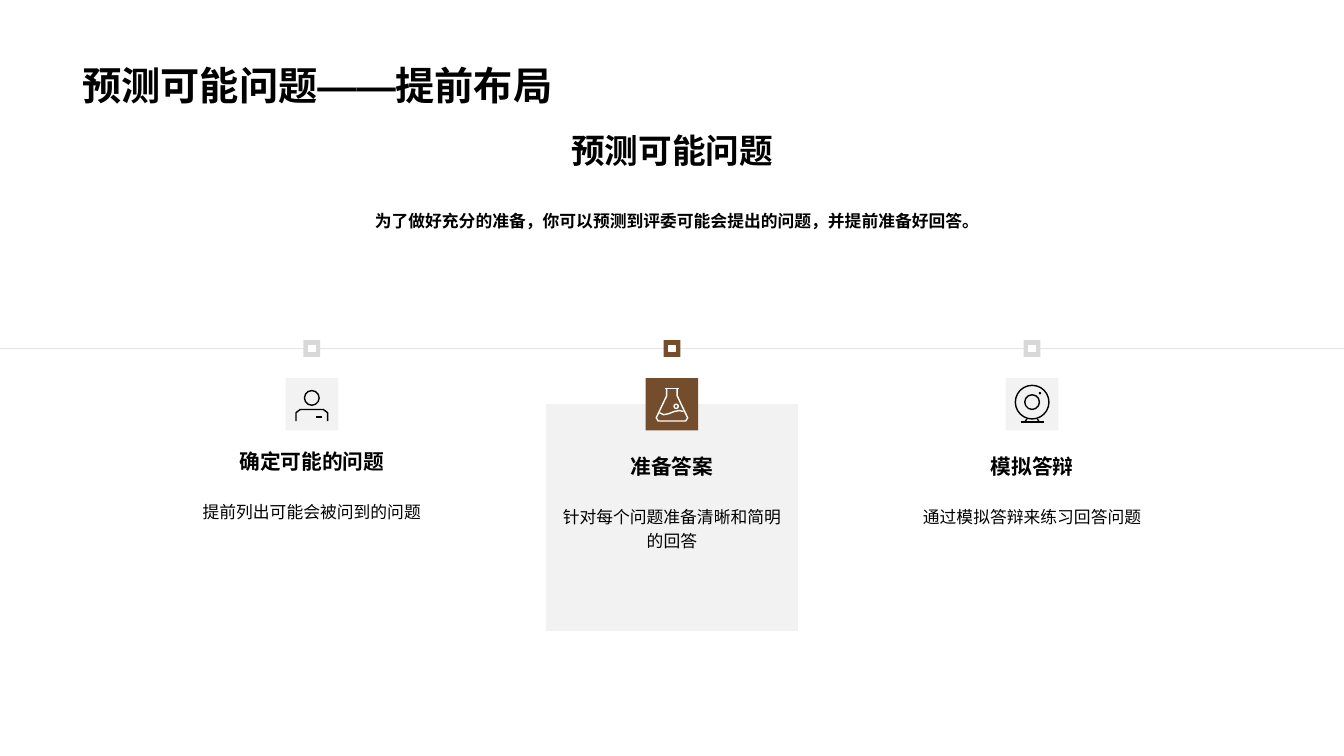
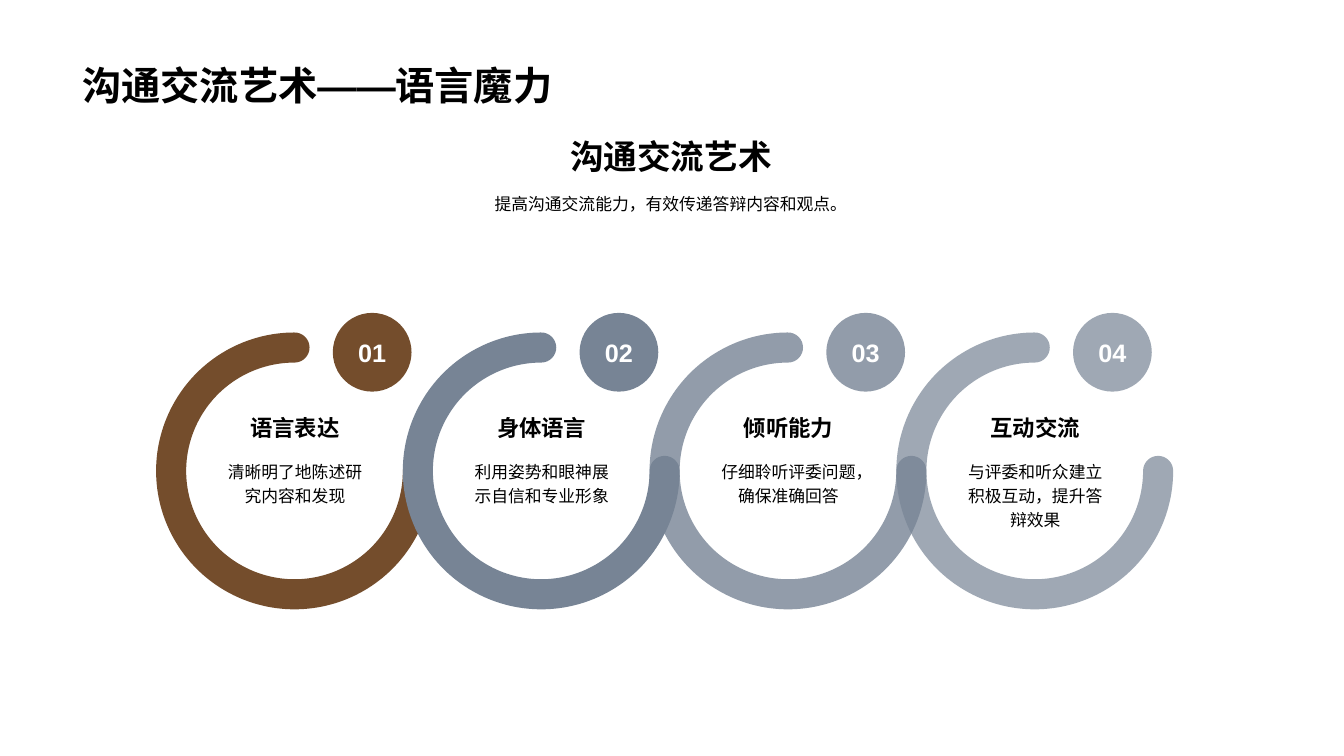
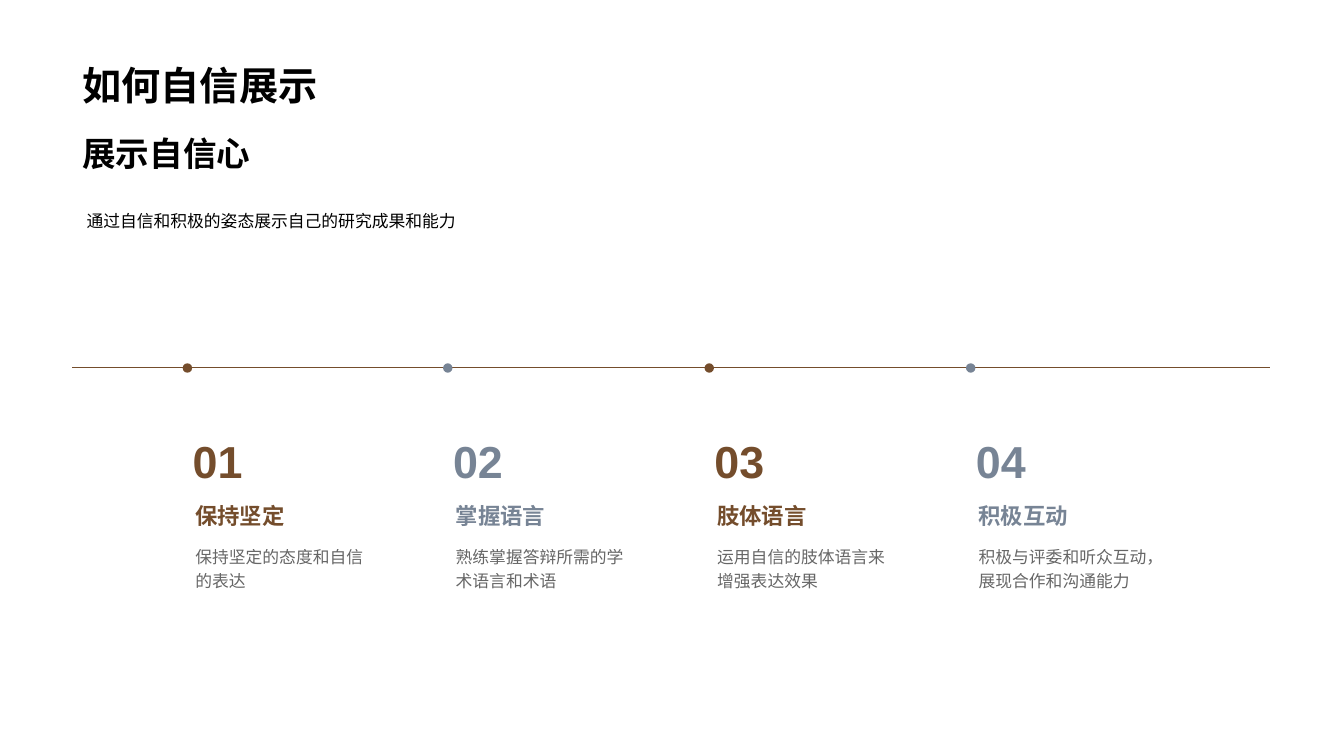
from dataclasses import dataclass

from lxml import etree
from pptx import Presentation
from pptx import util as u
from pptx.dml.color import RGBColor
from pptx.enum import shapes, text
from pptx.oxml.ns import qn

PX = 9525
TITLE_ONLY = 5
SHAPE = shapes.MSO_SHAPE
LEFT, CENTER = text.PP_ALIGN.LEFT, text.PP_ALIGN.CENTER
TOP, MIDDLE, BOTTOM = text.MSO_ANCHOR.TOP, text.MSO_ANCHOR.MIDDLE, text.MSO_ANCHOR.BOTTOM


@dataclass(frozen=True)
class Theme:
    """Colours are (hex, opacity in percent); sizes are points."""
    font: str = "Arial"
    black: tuple = ("000000", 100)
    white: tuple = ("FFFFFF", 100)
    brown: tuple = ("744D2C", 100)
    slate: tuple = ("778495", 100)
    slate_soft: tuple = ("778495", 80)
    slate_pale: tuple = ("778495", 70)
    panel: tuple = ("808080", 10)
    rule: tuple = ("000000", 10)
    marker: tuple = ("D8D8D8", 100)
    muted: tuple = ("000000", 60)
    title: float = 28
    subtitle: float = 24
    number: float = 32
    badge: float = 18
    heading: float = 16
    step: float = 14.8
    body: float = 12


THEME = Theme()
TITLE_BOX = (69, 0, 1140, 108)
WIDE_INSET = 12

# Icon parts are laid out in a 50 px square: circles as boxes, strokes as points.
PERSON = {
    "circles": [(18, 12, 14, 14)],
    "strokes": [[(10, 41), (10, 33), (14, 30), (36, 30), (40, 33), (40, 41)],
                [(29, 37), (35, 37)]],
}
FLASK = {
    "circles": [(27, 25, 4, 4)],
    "strokes": [[(18, 10), (32, 10)],
                [(20, 10), (20, 17), (10, 38), (12, 41), (38, 41), (40, 38), (30, 17), (30, 10)],
                [(13, 33), (17, 35), (22, 34), (27, 32), (32, 31), (36, 32)]],
}
WEBCAM = {
    "circles": [(9, 7, 32, 32), (18, 16, 14, 14), (32, 14, 1, 1)],
    "strokes": [[(14, 42), (36, 42)], [(20, 39), (18, 42)], [(30, 39), (32, 42)]],
}

QUESTIONS = {
    "title": "预测可能问题——提前布局",
    "subtitle": "预测可能问题",
    "lead": "为了做好充分的准备，你可以预测到评委可能会提出的问题，并提前准备好回答。",
    # heading, body, icon, text width, heading top, highlighted
    "steps": [
        ("确定可能的问题", "提前列出可能会被问到的问题", PERSON, 230, 423, False),
        ("准备答案", "针对每个问题准备清晰和简明的回答", FLASK, 240, 428, True),
        ("模拟答辩", "通过模拟答辩来练习回答问题", WEBCAM, 230, 428, False),
    ],
}
COMMUNICATION = {
    "title": "沟通交流艺术——语言魔力",
    "subtitle": "沟通交流艺术",
    "lead": "提高沟通交流能力，有效传递答辩内容和观点。",
    "skills": [
        ("语言表达", "清晰明了地陈述研究内容和发现", THEME.brown),
        ("身体语言", "利用姿势和眼神展示自信和专业形象", THEME.slate),
        ("倾听能力", "仔细聆听评委问题，确保准确回答", THEME.slate_soft),
        ("互动交流", "与评委和听众建立积极互动，提升答辩效果", THEME.slate_pale),
    ],
}
CONFIDENCE = {
    "title": "如何自信展示",
    "subtitle": "展示自信心",
    "lead": "通过自信和积极的姿态展示自己的研究成果和能力",
    "habits": [
        ("保持坚定", "保持坚定的态度和自信的表达", THEME.brown),
        ("掌握语言", "熟练掌握答辩所需的学术语言和术语", THEME.slate),
        ("肢体语言", "运用自信的肢体语言来增强表达效果", THEME.brown),
        ("积极互动", "积极与评委和听众互动，展现合作和沟通能力", THEME.slate),
    ],
}


def emu(*lengths):
    return [u.Emu(length * PX) for length in lengths]


def apply_color(color_format, color, element):
    """Set a colour; element holds the colour XML that takes the opacity."""
    code, opacity = color
    color_format.rgb = RGBColor.from_string(code)
    if opacity < 100:
        for node in element.iter(qn("a:srgbClr")):
            etree.SubElement(node, qn("a:alpha")).set("val", str(opacity * 1000))


def write(shape, content, size, color=THEME.black, bold=False, align=CENTER,
          anchor=TOP, spacing=None, wrap=True, inset=None):
    frame = shape.text_frame
    frame.auto_size = text.MSO_AUTO_SIZE.NONE
    frame.word_wrap = wrap
    frame.vertical_anchor = anchor
    if inset is not None:
        (frame.margin_left, frame.margin_top,
         frame.margin_right, frame.margin_bottom) = emu(*[inset] * 4)
    paragraph = frame.paragraphs[0]
    paragraph.alignment = align
    if spacing:
        paragraph.line_spacing = spacing
    run = paragraph.add_run()
    run.text = content
    run.font.name = THEME.font
    run.font.size = u.Pt(size)
    run.font.bold = bold
    run.font.fill.solid()
    properties = run._r.get_or_add_rPr()
    properties.set("lang", "zh-CN")
    apply_color(run.font.fill.fore_color, color, properties)
    east_asian = etree.Element(qn("a:ea"))
    east_asian.set("typeface", THEME.font)
    properties.find(qn("a:latin")).addnext(east_asian)


def add_text(slide, box, content, size, **style):
    write(slide.shapes.add_textbox(*emu(*box)), content, size, **style)


def paint(shape, fill=None, line=None, width=1):
    shape.shadow.inherit = False
    if fill:
        shape.fill.solid()
        apply_color(shape.fill.fore_color, fill, shape._element.spPr)
    else:
        shape.fill.background()
    if line:
        shape.line.width = u.Pt(width)
        apply_color(shape.line.color, line, shape._element.spPr)
    else:
        shape.line.fill.background()


def add_shape(slide, kind, box, **look):
    shape = slide.shapes.add_shape(kind, *emu(*box))
    paint(shape, **look)
    return shape


def add_line(slide, start, end, color, width):
    line = slide.shapes.add_connector(shapes.MSO_CONNECTOR.STRAIGHT, *emu(*start, *end))
    line.line.width = u.Pt(width)
    apply_color(line.line.color, color, line._element.spPr)
    etree.SubElement(line._element.spPr, qn("a:effectLst"))


def add_icon(slide, left, top, icon, color):
    for x, y, width, height in icon["circles"]:
        add_shape(slide, SHAPE.OVAL, (left + x, top + y, width, height), line=color)
    for stroke in icon["strokes"]:
        points = [(left + x, top + y) for x, y in stroke]
        if len(points) == 2:
            add_line(slide, *points, color, 1)
        else:
            builder = slide.shapes.build_freeform(*points[0], scale=PX)
            builder.add_line_segments(points[1:], close=False)
            paint(builder.convert_to_shape(), line=color)


def add_slide(presentation, content, subtitle_box, lead_box, align=CENTER,
              subtitle_anchor=TOP, lead_bold=False):
    slide = presentation.slides.add_slide(presentation.slide_layouts[TITLE_ONLY])
    title = slide.shapes.title
    title.left, title.top, title.width, title.height = emu(*TITLE_BOX)
    write(title, content["title"], THEME.title, bold=True, align=LEFT, anchor=BOTTOM)
    add_text(slide, subtitle_box, content["subtitle"], THEME.subtitle, bold=True,
             align=align, anchor=subtitle_anchor)
    add_text(slide, lead_box, content["lead"], THEME.body, bold=lead_bold,
             align=align, spacing=1.2)
    return slide


def build_questions(presentation):
    slide = add_slide(presentation, QUESTIONS, (70, 119, 1140, 48), (75, 192, 1140, 31),
                      lead_bold=True)
    first_center, pitch, rule_y = 297, 343, 332
    icon_top, icon_size = 360, 50
    add_line(slide, (0, rule_y), (1280, rule_y), THEME.rule, 0.75)
    for index, (heading, body, icon, width, top, highlighted) in enumerate(QUESTIONS["steps"]):
        center = first_center + index * pitch
        left = center - width // 2
        if highlighted:
            add_shape(slide, SHAPE.RECTANGLE, (left, 385, width, 216), fill=THEME.panel)
        add_text(slide, (left, top, width, 33), heading, THEME.step, bold=True,
                 anchor=BOTTOM, spacing=0.9, wrap=False)
        add_text(slide, (left, top + 46, width, 54), body, THEME.body, spacing=1.2)
        icon_left = center - icon_size // 2
        add_shape(slide, SHAPE.RECTANGLE, (icon_left, icon_top, icon_size, icon_size),
                  fill=THEME.brown if highlighted else THEME.panel)
        add_icon(slide, icon_left, icon_top, icon, THEME.white if highlighted else THEME.black)
        add_shape(slide, SHAPE.RECTANGLE, (center - 8, rule_y - 8, 16, 16),
                  fill=THEME.brown if highlighted else THEME.marker)
        add_shape(slide, SHAPE.RECTANGLE, (center - 3, rule_y - 3, 6, 6),
                  fill=THEME.white, line=THEME.white)


def build_communication(presentation):
    slide = add_slide(presentation, COMMUNICATION, (69, 125, 1140, 48), (69, 176, 1140, 31),
                      subtitle_anchor=BOTTOM)
    first_left, ring_size = 163, 235
    for index, (heading, body, color) in enumerate(COMMUNICATION["skills"]):
        left = first_left + index * ring_size
        badge = add_shape(slide, SHAPE.OVAL, (left + 154, 298, 75, 75), fill=color)
        write(badge, f"{index + 1:02}", THEME.badge, THEME.white, bold=True, anchor=MIDDLE)
        ring = add_shape(slide, SHAPE.ARC, (left, 331, ring_size, ring_size),
                         line=color, width=21.5)
        ring.adjustments[0] = 0
        ring.adjustments[1] = 162  # 270 degrees
        ring._element.spPr.find(qn("a:ln")).set("cap", "rnd")
        add_text(slide, (left + 37, 387, 162, 38), heading, THEME.heading, bold=True,
                 anchor=BOTTOM, wrap=False)
        add_text(slide, (left + 37, 424, 162, 90), body, THEME.body, spacing=1.2,
                 inset=WIDE_INSET)


def build_confidence(presentation):
    slide = add_slide(presentation, CONFIDENCE, (69, 122, 842, 48), (73, 192, 838, 31),
                      align=LEFT)
    first_left, last_left, rule_y = 174, 920, 350
    habits = CONFIDENCE["habits"]
    add_line(slide, (69, rule_y), (1210, rule_y), THEME.brown, 0.5)
    for index, (heading, body, color) in enumerate(habits):
        left = first_left + index * (last_left - first_left) // (len(habits) - 1)
        add_text(slide, (left, 460, 185, 56), heading, THEME.heading, color=color, bold=True,
                 align=LEFT, anchor=BOTTOM, wrap=False, inset=WIDE_INSET)
        add_text(slide, (left, 505, 185, 67), body, THEME.body, color=THEME.muted,
                 align=LEFT, spacing=1.2, inset=WIDE_INSET)
        add_text(slide, (left, 408, 67, 61), f"{index + 1:02}", THEME.number, color=color,
                 bold=True, align=LEFT, anchor=BOTTOM, wrap=False)
        add_shape(slide, SHAPE.OVAL, (left, rule_y - 4, 9, 9), fill=color)


def main():
    presentation = Presentation()
    presentation.slide_width, presentation.slide_height = emu(1280, 720)
    build_questions(presentation)
    build_communication(presentation)
    build_confidence(presentation)
    presentation.save("out.pptx")


if __name__ == "__main__":
    main()
